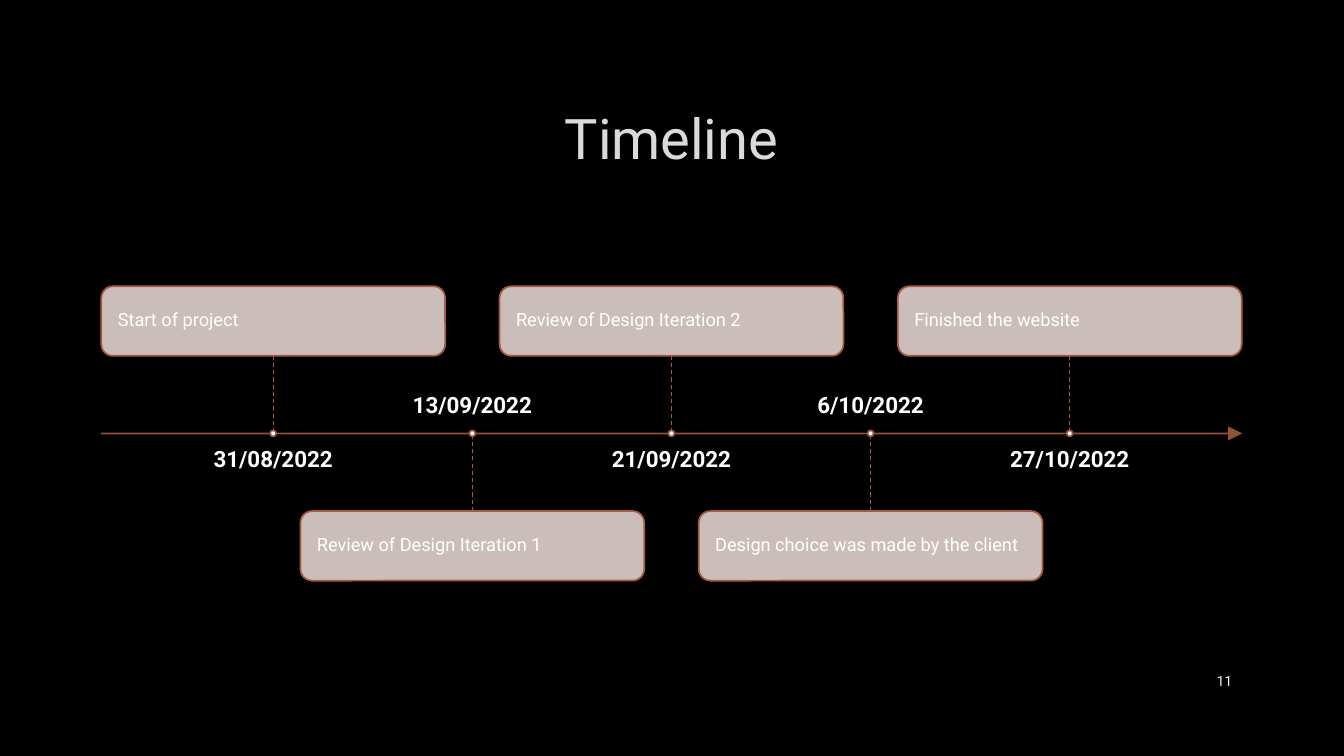
"""Build a project timeline slide with alternating milestones."""
from lxml.etree import SubElement
from pptx import Presentation
from pptx.dml.color import RGBColor
from pptx.enum.dml import MSO_LINE
from pptx.enum.shapes import MSO_CONNECTOR, MSO_SHAPE
from pptx.enum.text import MSO_ANCHOR, PP_ALIGN
from pptx.oxml.ns import qn
from pptx.util import Inches, Pt

TITLE = "Timeline"
NUMBER = "11"
STEPS = [
    ("31/08/2022", "Start of project"),
    ("13/09/2022", "Review of Design Iteration 1"),
    ("21/09/2022", "Review of Design Iteration 2"),
    ("6/10/2022", "Design choice was made by the client"),
    ("27/10/2022", "Finished the website"),
]
FONT = "Roboto"
RUST, DARK, ROSE, WHITE = "A55A43", "96523D", "E1D2CF", "FFFFFF"
LEFT, RIGHT, AXIS = 1, 12.32, 4.3
FIRST, PITCH = 2.71, 1.975
BOX_W, BOX_H, STEM = 3.41, 0.69, 0.77
DATE_W, DATE_H, GAP = 3, 0.46, 0.15
DOT = 0.06


def color(code):
    return RGBColor.from_string(code)


def fade(fill, percent):
    tone = fill._xPr.find(qn("a:solidFill"))[0]
    SubElement(tone, qn("a:alpha"), val=str(percent * 1000))


def write(shape, text, size, tint, align, anchor, inset=None, bold=False, space=None):
    frame = shape.text_frame
    frame.word_wrap = True
    frame.vertical_anchor = anchor
    if inset is not None:
        frame.margin_left = frame.margin_right = Inches(inset)
        frame.margin_top = frame.margin_bottom = Inches(inset)
    frame.text = text
    para = frame.paragraphs[0]
    para.alignment = align
    para.line_spacing = space
    font = para.font
    font.name, font.size, font.bold = FONT, Pt(size), bold
    font.color.rgb = color(tint)


def add_text(slide, x, y, w, h, *args, **style):
    box = slide.shapes.add_textbox(Inches(x), Inches(y), Inches(w), Inches(h))
    write(box, *args, **style)


def add_shape(slide, kind, x, y, w, h, fill, edge):
    shape = slide.shapes.add_shape(kind, Inches(x), Inches(y), Inches(w), Inches(h))
    shape.shadow.inherit = False
    shape.fill.solid()
    shape.fill.fore_color.rgb = color(fill)
    shape.line.color.rgb = color(edge)
    shape.line.width = Pt(1.25)
    return shape


def add_line(slide, x1, y1, x2, y2, width):
    line = slide.shapes.add_connector(
        MSO_CONNECTOR.STRAIGHT, Inches(x1), Inches(y1), Inches(x2), Inches(y2))
    line.line.color.rgb = color(RUST)
    line.line.width = Pt(width)
    SubElement(line._element.spPr, qn("a:effectLst"))
    return line


def add_step(slide, index, date, label):
    mid = FIRST + index * PITCH
    above = index % 2 == 0
    top = AXIS - STEM - BOX_H if above else AXIS + STEM
    box = add_shape(slide, MSO_SHAPE.ROUNDED_RECTANGLE,
                    mid - BOX_W / 2, top, BOX_W, BOX_H, ROSE, RUST)
    fade(box.fill, 90)
    write(box, label, 13, WHITE, PP_ALIGN.LEFT, MSO_ANCHOR.MIDDLE, inset=0.13, space=0.9)

    stem = add_line(slide, mid, top, mid, AXIS, 0.75)
    stem.line.dash_style = MSO_LINE.DASH
    stem.begin_connect(box, 2 if above else 0)

    date_y = AXIS + GAP if above else AXIS - GAP - DATE_H
    add_text(slide, mid - DATE_W / 2, date_y, DATE_W, DATE_H, date, 16, WHITE,
             PP_ALIGN.CENTER, MSO_ANCHOR.TOP if above else MSO_ANCHOR.BOTTOM,
             inset=0, bold=True, space=0.9)
    add_shape(slide, MSO_SHAPE.OVAL, mid - DOT / 2, AXIS - DOT / 2, DOT, DOT, WHITE, DARK)


def main():
    deck = Presentation()
    deck.slide_width, deck.slide_height = Inches(13.33), Inches(7.5)
    slide = deck.slides.add_slide(deck.slide_layouts[5])
    slide.background.fill.solid()
    slide.background.fill.fore_color.rgb = color("000000")

    title = slide.shapes.title
    title.left, title.top = Inches(LEFT), Inches(0.67)
    title.width, title.height = Inches(RIGHT - LEFT), Inches(1.38)
    write(title, TITLE, 40, "DADADA", PP_ALIGN.CENTER, MSO_ANCHOR.MIDDLE)

    axis = add_line(slide, LEFT, AXIS, RIGHT, AXIS, 1.25)
    fade(axis.line.fill, 90)
    SubElement(axis.line._get_or_add_ln(), qn("a:tailEnd"), type="triangle", w="lg", len="lg")

    for index, (date, label) in enumerate(STEPS):
        add_step(slide, index, date, label)

    add_text(slide, 11.5, 6.56, 0.82, 0.4, NUMBER, 10, "F2F2F2",
             PP_ALIGN.RIGHT, MSO_ANCHOR.MIDDLE)
    deck.save("out.pptx")


if __name__ == "__main__":
    main()
